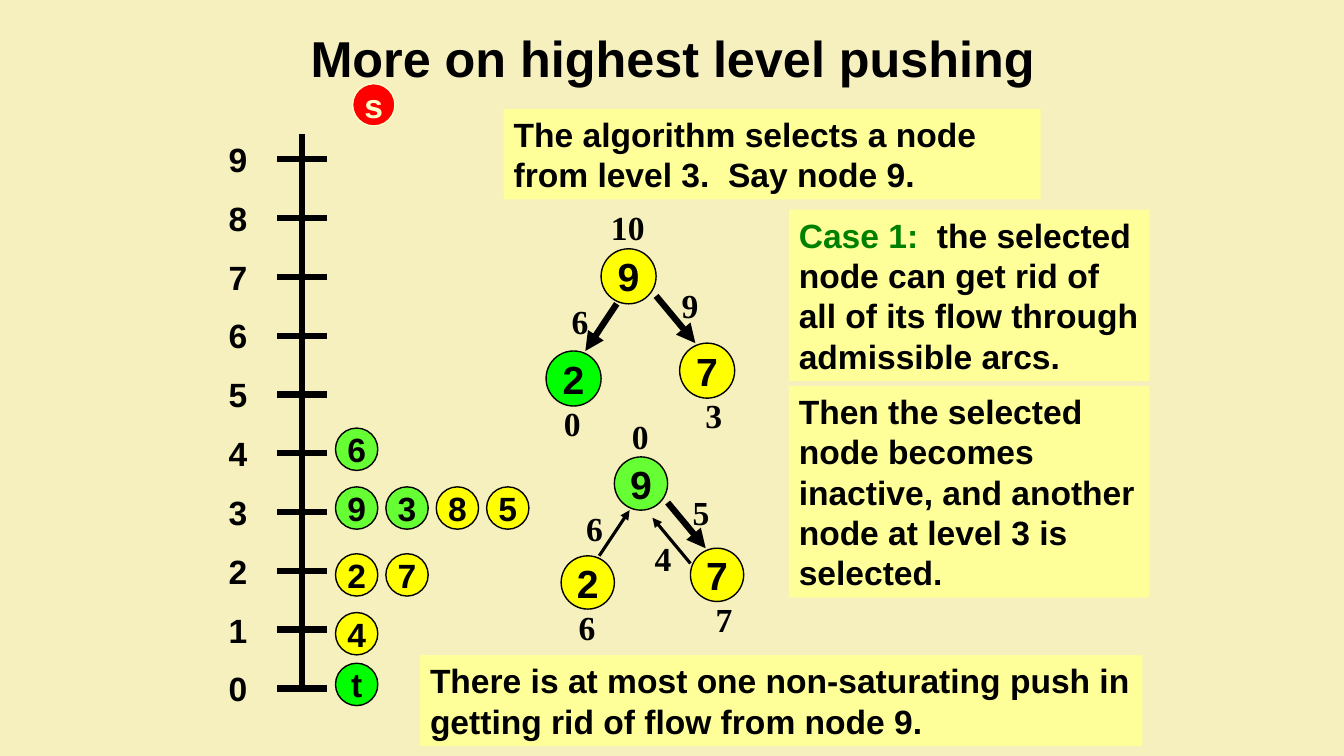
from lxml import etree
from pptx import Presentation
from pptx.dml.color import RGBColor
from pptx.enum import shapes, text
from pptx.oxml import ns
from pptx.util import Inches, Pt

BLACK = RGBColor(0x00, 0x00, 0x00)
CREAM = RGBColor(0xF5, 0xF0, 0xBD)
NOTE = RGBColor(0xFF, 0xFF, 0x99)
PALE = RGBColor(0xFF, 0xFF, 0xCC)
RED = RGBColor(0xFF, 0x00, 0x00)
YELLOW = RGBColor(0xFF, 0xFF, 0x00)
GREEN = RGBColor(0x00, 0xFF, 0x00)
LIME = RGBColor(0x66, 0xFF, 0x33)
DARK_GREEN = RGBColor(0x00, 0x80, 0x00)
SANS, SERIF = "Arial", "Times New Roman"

LEVEL_STEP = 7 / 12
# level, distance of the circles' top above the tick, nodes
LEVEL_NODES = [
    (4, 0.25, [("6", LIME)]),
    (3, 0.25, [("9", LIME), ("3", LIME), ("8", YELLOW), ("5", YELLOW)]),
    (2, 0.17, [("2", YELLOW), ("7", YELLOW)]),
    (1, 0.17, [("4", YELLOW)]),
    (0, 0.25, [("t", GREEN)]),
]

# Positions inside a tree, in grid units
TREE_NODES = {"9": (7, 6), "2": (0, 19), "7": (17, 18)}
LEFT_PUSH = (9, 13, 5, 19, 4.5)
RIGHT_PUSH = (14, 12, 19, 18, 4.5)
LEFT_RETURN = (5, 19, 9, 13, 2.25)
RIGHT_RETURN = (17, 20, 12, 14, 2.25)


def write(shape, *spans, size=24, font=SANS, align=text.PP_ALIGN.LEFT,
          anchor=text.MSO_ANCHOR.TOP, wrap=True):
    """Fill a shape with one bold paragraph of (words, colour) spans."""
    frame = shape.text_frame
    frame.word_wrap = wrap
    frame.vertical_anchor = anchor
    para = frame.paragraphs[0]
    para.alignment = align
    for words, color in spans:
        span = para.add_run()
        span.text = words
        span.font.name = font
        span.font.size = Pt(size)
        span.font.bold = True
        span.font.color.rgb = color


def add_label(page, left, top, width, height, words, **style):
    box = page.shapes.add_textbox(Inches(left), Inches(top), Inches(width), Inches(height))
    write(box, (words, BLACK), **style)


def add_filled(page, kind, left, top, width, height, fill):
    shape = page.shapes.add_shape(kind, Inches(left), Inches(top), Inches(width), Inches(height))
    shape.shadow.inherit = False
    shape.fill.solid()
    shape.fill.fore_color.rgb = fill
    return shape


def add_node(page, left, top, diameter, name, fill, size=24, ink=BLACK):
    circle = add_filled(page, shapes.MSO_SHAPE.OVAL, left, top, diameter, diameter, fill)
    circle.line.color.rgb = ink
    circle.line.width = Pt(1)
    write(circle, (name, ink), size=size, align=text.PP_ALIGN.CENTER,
          anchor=text.MSO_ANCHOR.MIDDLE, wrap=False)


def add_note(page, left, top, width, height, *spans):
    box = add_filled(page, shapes.MSO_SHAPE.RECTANGLE, left, top, width, height, NOTE)
    box.line.fill.background()
    write(box, *spans)


def add_line(page, x1, y1, x2, y2, width=4.5, arrow=False):
    line = page.shapes.add_connector(shapes.MSO_CONNECTOR.STRAIGHT,
                                     Inches(x1), Inches(y1), Inches(x2), Inches(y2))
    line.line.color.rgb = BLACK
    line.line.width = Pt(width)
    properties = line.element.spPr
    if arrow:
        etree.SubElement(properties.find(ns.qn("a:ln")), ns.qn("a:tailEnd"), type="triangle")
    etree.SubElement(properties, ns.qn("a:effectLst"))


def add_level_scale(page, left, top, height):
    """Draw the axis of levels 0 to 9 with the nodes at each level."""
    axis, bottom = left + 0.83, top + height
    add_line(page, axis, top, axis, bottom)
    for level in range(10):
        y = bottom - level * LEVEL_STEP
        add_line(page, axis - 0.25, y, axis + 0.25, y)
        add_label(page, left, y - 0.25, 0.42, 0.5, str(level))
    for level, rise, nodes in LEVEL_NODES:
        y = bottom - level * LEVEL_STEP - rise
        for column, (name, fill) in enumerate(nodes):
            add_node(page, axis + 0.33 + column * 0.5, y, 0.42, name, fill)
    add_node(page, axis + 0.5, top - 0.5, 0.42, "s", RED, ink=PALE)


def add_push_tree(page, left, top, unit, fills, arrows, labels):
    """Draw node 9 above nodes 2 and 7 on a grid of the given unit."""
    for x1, y1, x2, y2, width in arrows:
        add_line(page, left + x1 * unit, top + y1 * unit,
                 left + x2 * unit, top + y2 * unit, width, arrow=True)
    for (name, (x, y)), fill in zip(TREE_NODES.items(), fills):
        add_node(page, left + x * unit, top + y * unit, 7 * unit, name, fill, size=28)
    for words, x, y in labels:
        add_label(page, left + x * unit, top + y * unit, 10 * unit, 0.5, words, font=SERIF)


def add_notes(page):
    add_note(page, 5, 1.08, 5.33, 0.9,
             ("The algorithm selects a node from level 3.  Say node 9.", BLACK))
    add_note(page, 7.83, 2.08, 3.58, 1.7, ("Case 1:", DARK_GREEN),
             ("  the selected node can get rid of all of its flow through admissible arcs.", BLACK))
    add_note(page, 7.83, 3.83, 3.58, 2.1,
             ("Then the selected node becomes inactive, and another node at level 3 is selected.",
              BLACK))
    add_note(page, 4.17, 6.5, 7.17, 0.9,
             ("There is at most one non-saturating push in getting rid of flow from node 9.", BLACK))


def main():
    deck = Presentation()
    deck.slide_width, deck.slide_height = Inches(13.34), Inches(7.5)
    page = deck.slides.add_slide(deck.slide_layouts[6])
    page.background.fill.solid()
    page.background.fill.fore_color.rgb = CREAM

    add_label(page, 0.68, 0.13, 12, 0.87, "More on highest level pushing", size=36,
              align=text.PP_ALIGN.CENTER, anchor=text.MSO_ANCHOR.MIDDLE)
    add_level_scale(page, 2.17, 1.33, 5.5)
    add_notes(page)
    add_push_tree(page, 5.42, 2, 0.078, [YELLOW, GREEN, YELLOW],
                  [LEFT_PUSH, RIGHT_PUSH],
                  [("10", 7, 0), ("6", 2, 12), ("9", 16, 10), ("0", 1, 25), ("3", 19, 24)])
    add_push_tree(page, 5.57, 4.08, 0.0755, [LIME, YELLOW, YELLOW],
                  [LEFT_RETURN, RIGHT_RETURN, RIGHT_PUSH],
                  [("0", 8, 0), ("6", 2, 12), ("5", 16, 10), ("6", 1, 25), ("7", 19, 24),
                   ("4", 11, 16)])
    deck.save("out.pptx")


if __name__ == "__main__":
    main()
